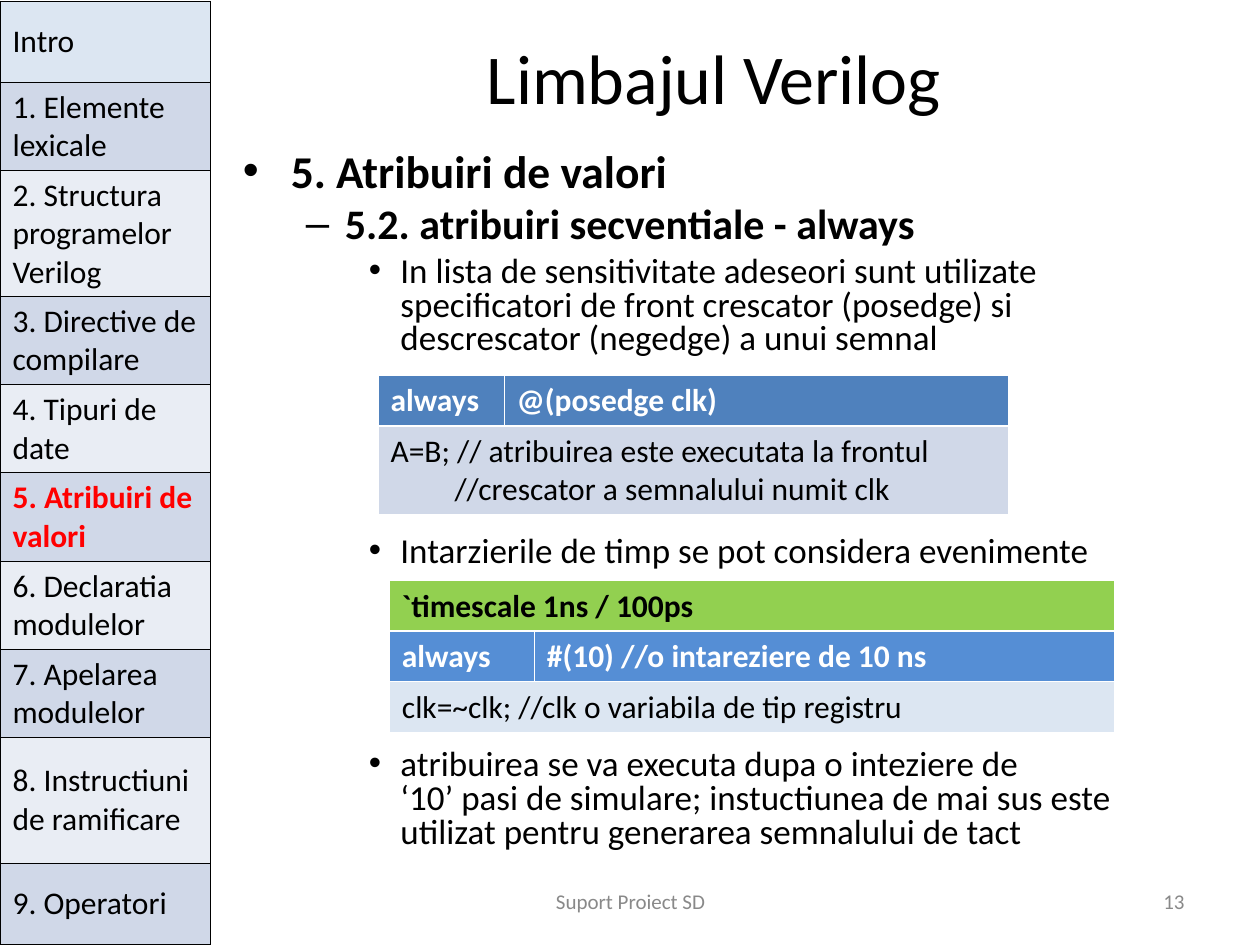
from dataclasses import dataclass

from lxml.etree import SubElement
from pptx import Presentation
from pptx.dml.color import RGBColor
from pptx.enum.text import MSO_ANCHOR, PP_ALIGN
from pptx.oxml.ns import qn
from pptx.util import Inches, Pt


@dataclass(frozen=True)
class Theme:
    font: str = "Calibri"
    black: str = "000000"
    white: str = "FFFFFF"
    red: str = "FF0000"
    grey: str = "898989"
    header: str = "4F81BD"
    delay: str = "558ED5"
    directive: str = "92D050"
    band: str = "D0D8E8"
    pale_band: str = "E9EDF4"
    ice: str = "DCE6F2"
    title: int = 40
    topic: int = 26
    subtopic: int = 24
    point: int = 20
    cell: int = 18
    footer: int = 12
    thin: float = 0.45
    heavy: float = 1.47


theme = Theme()


def add_text(paragraph, text, size, color, bold=False):
    for index, line in enumerate(text.split("\n")):
        if index:
            paragraph.add_line_break()
        run = paragraph.add_run()
        run.text = line
        run.font.name = theme.font
        run.font.size = Pt(size)
        run.font.bold = bold
        run.font.color.rgb = RGBColor.from_string(color)


def add_grid(left, top, widths, heights, rows, border, rule, anchor):
    table = slide.shapes.add_table(
        len(rows), len(widths), Inches(left), Inches(top),
        Inches(sum(widths)), Inches(sum(heights))).table
    table.first_row = table.horz_banding = False
    for column, width in zip(table.columns, widths):
        column.width = Inches(width)
    for r, (fill, color, bold, texts) in enumerate(rows):
        table.rows[r].height = Inches(heights[r])
        if len(texts) < len(widths):
            table.cell(r, 0).merge(table.cell(r, len(widths) - 1))
        for c in range(len(widths)):
            cell = table.cell(r, c)
            cell.vertical_anchor = anchor
            properties = cell._tc.get_or_add_tcPr()
            for side in "LRTB":
                under_header = (r, side) in ((0, "B"), (1, "T"))
                weight = rule if under_header else theme.thin
                edge = SubElement(properties, qn(f"a:ln{side}"), w=str(Pt(weight)))
                paint = SubElement(edge, qn("a:solidFill"))
                SubElement(paint, qn("a:srgbClr"), val=border)
            cell.fill.solid()
            cell.fill.fore_color.rgb = RGBColor.from_string(fill)
        for c, text in enumerate(texts):
            frame = table.cell(r, c).text_frame
            for index, line in enumerate(text.split("\n")):
                paragraph = frame.add_paragraph() if index else frame.paragraphs[0]
                add_text(paragraph, line, theme.cell, color, bold)


presentation = Presentation()
presentation.slide_width = Inches(10)
presentation.slide_height = Inches(7.5)
slide = presentation.slides.add_slide(presentation.slide_layouts[6])

labels = [
    (1.83, 0.3, 7.67, 0.62, "Limbajul Verilog", theme.title, theme.black, PP_ALIGN.CENTER),
    (3.42, 6.95, 3.17, 0.4, "Suport Proiect SD", theme.footer, theme.grey, PP_ALIGN.CENTER),
    (7.17, 6.95, 2.33, 0.4, "13", theme.footer, theme.grey, PP_ALIGN.RIGHT),
]
for left, top, width, height, text, size, color, alignment in labels:
    label = slide.shapes.add_textbox(
        Inches(left), Inches(top), Inches(width), Inches(height)).text_frame
    label.word_wrap = True
    label.vertical_anchor = MSO_ANCHOR.MIDDLE
    label.paragraphs[0].alignment = alignment
    add_text(label.paragraphs[0], text, size, color)

levels = [
    ("•", 0.38, 0.38, theme.topic, True),
    ("–", 0.81, 0.31, theme.subtopic, True),
    ("•", 1.25, 0.25, theme.point, False),
]
table_gap = 102.5
outline = [
    (0, 0, "5. Atribuiri de valori"),
    (1, 6, "5.2. atribuiri secventiale - always"),
    (2, 5, "In lista de sensitivitate adeseori sunt utilizate specificatori de front "
           "crescator (posedge) si descrescator (negedge) a unui semnal"),
    (2, table_gap, "Intarzierile de timp se pot considera evenimente"),
    (2, table_gap, "atribuirea se va executa dupa o inteziere de\n‘10’ pasi de simulare; "
                   "instuctiunea de mai sus este utilizat pentru generarea semnalului de tact"),
]
body = slide.shapes.add_textbox(
    Inches(1.83), Inches(1.17), Inches(7.67), Inches(5.83)).text_frame
body.word_wrap = True
for index, (level, space, text) in enumerate(outline):
    bullet, margin, hanging, size, bold = levels[level]
    paragraph = body.add_paragraph() if index else body.paragraphs[0]
    paragraph.level = level
    properties = paragraph._p.get_or_add_pPr()
    properties.set("marL", str(Inches(margin)))
    properties.set("indent", str(-Inches(hanging)))
    bullet_color = SubElement(properties, qn("a:buClr"))
    SubElement(bullet_color, qn("a:srgbClr"), val=theme.black)
    SubElement(properties, qn("a:buFont"), typeface="Arial")
    SubElement(properties, qn("a:buChar"), char=bullet)
    paragraph.line_spacing = 0.8
    paragraph.space_before = Pt(space)
    add_text(paragraph, text, size, theme.black, bold)

edge_example = [
    (theme.header, theme.white, True, ["always", "@(posedge clk)"]),
    (theme.band, theme.black, False,
     ["A=B; // atribuirea este executata la frontul\n"
      "         //crescator a semnalului numit clk"]),
]
add_grid(3, 2.98, [1, 4], [0.4, 0.7], edge_example,
         theme.white, theme.heavy, MSO_ANCHOR.TOP)

chapters = [
    "Intro", "1. Elemente lexicale", "2. Structura programelor Verilog",
    "3. Directive de compilare", "4. Tipuri de date", "5. Atribuiri de valori",
    "6. Declaratia modulelor", "7. Apelarea modulelor",
    "8. Instructiuni de ramificare", "9. Operatori",
]
current = 5
chapter_rows = []
for number, chapter in enumerate(chapters):
    fill = theme.band if number % 2 else theme.pale_band
    chapter_rows.append((
        fill if number else theme.ice,
        theme.red if number == current else theme.black,
        number == current, [chapter]))
chapter_heights = [0.64, 0.7, 1] + [0.7] * 5 + [1, 0.64]
add_grid(0, 0.01, [1.67], chapter_heights, chapter_rows,
         theme.black, theme.thin, MSO_ANCHOR.MIDDLE)

delay_example = [
    (theme.directive, theme.black, True, ["`timescale 1ns / 100ps"]),
    (theme.delay, theme.white, True, ["always", "#(10) //o intareziere de 10 ns"]),
    (theme.ice, theme.black, False, ["clk=~clk; //clk o variabila de tip registru"]),
]
add_grid(3.09, 4.61, [1.15, 4.6], [0.4] * 3, delay_example,
         theme.white, theme.heavy, MSO_ANCHOR.TOP)

presentation.save("out.pptx")
